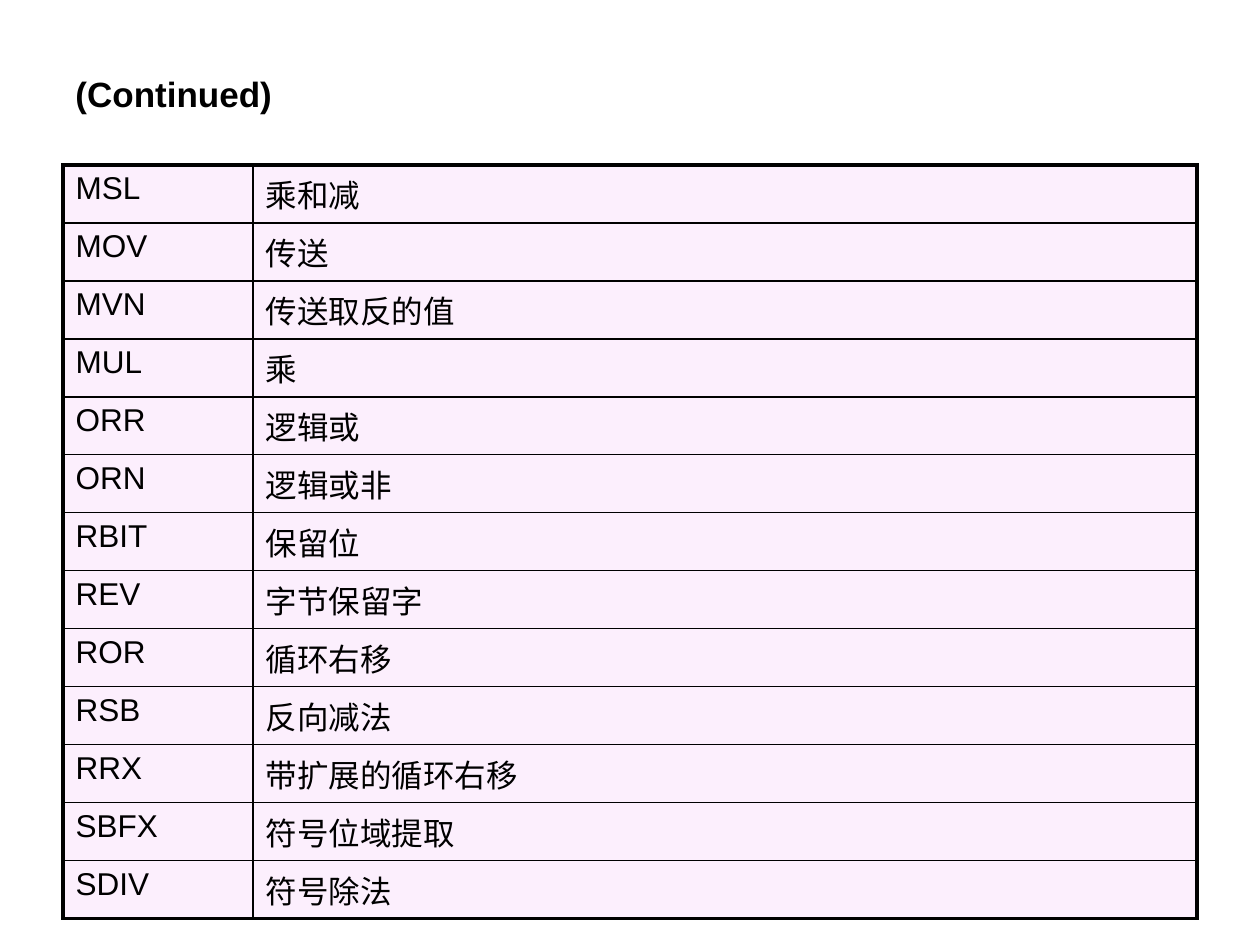
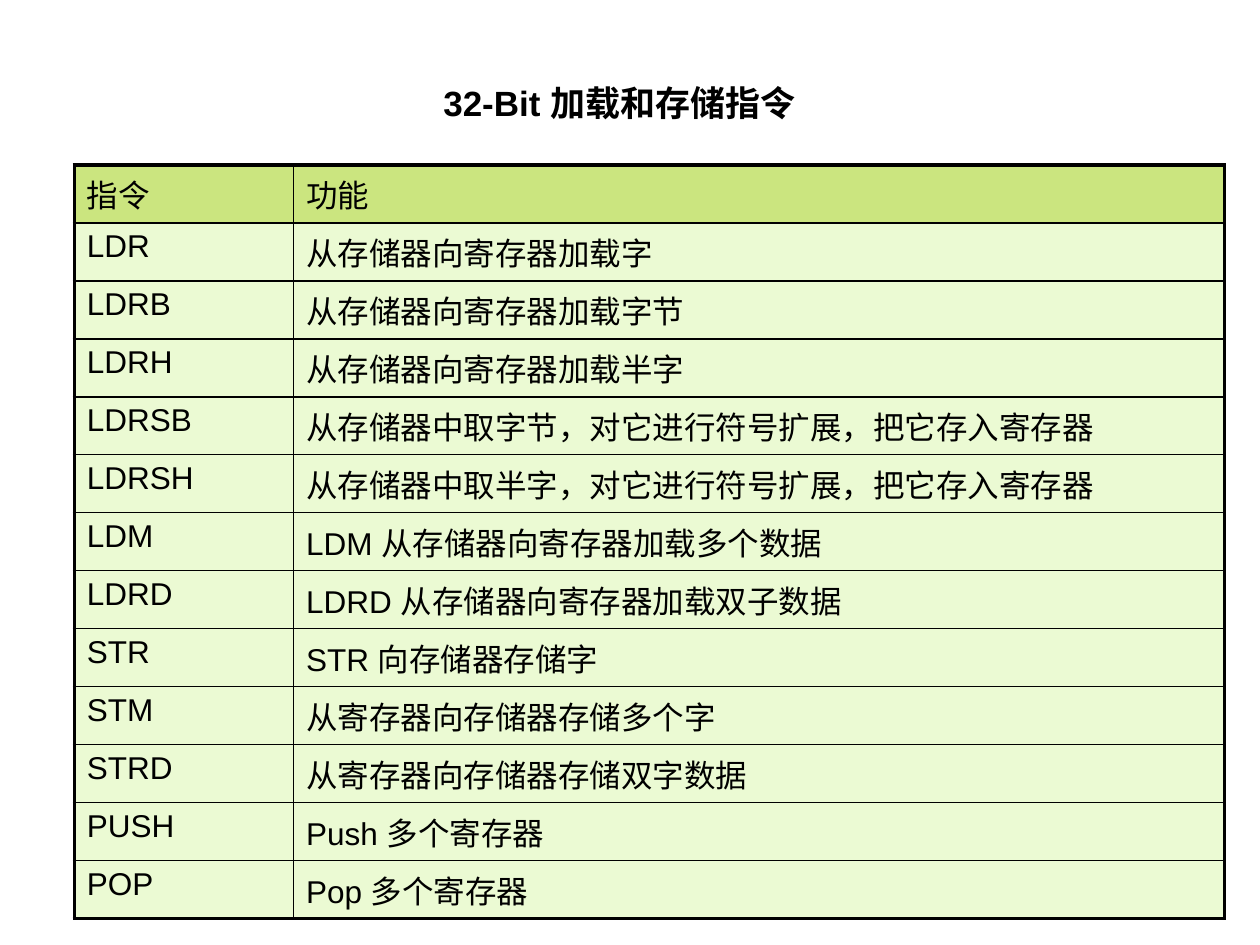
import pptx
import pptx.dml.color
import pptx.enum.lang
import pptx.enum.text
import pptx.oxml.ns
import pptx.util
from lxml import etree
from pptx.util import Inches

FONT = "Arial"
COLORS = {"ink": "000000", "pink": "FBE0FC", "header": "99CC00", "green": "D8F6A8"}
TITLE_SIZE, CELL_SIZE = 20, 18
OUTER_LINE, INNER_LINE = 2.25, 1
TABLE_TOP, ROW_HEIGHT = 1.31, 0.46
FILL_OPACITY = 50

SLIDES = [
    {
        "title": "(Continued)",
        "title_box": (0.5, 0.52, 1.78, 0.44),
        "table_left": 0.5,
        "columns": (1.51, 7.49),
        "body_color": "pink",
        "header": None,
        "instructions": [
            ("MSL", "乘和减"),
            ("MOV", "传送"),
            ("MVN", "传送取反的值"),
            ("MUL", "乘"),
            ("ORR", "逻辑或"),
            ("ORN", "逻辑或非"),
            ("RBIT", "保留位"),
            ("REV", "字节保留字"),
            ("ROR", "循环右移"),
            ("RSB", "反向减法"),
            ("RRX", "带扩展的循环右移"),
            ("SBFX", "符号位域提取"),
            ("SDIV", "符号除法"),
        ],
    },
    {
        "title": "32-Bit 加载和存储指令",
        "title_box": (3.42, 0.6, 4.34, 0.43),
        "table_left": 0.59,
        "columns": (1.74, 7.39),
        "body_color": "green",
        "header": ("指令", "功能"),
        "instructions": [
            ("LDR", "从存储器向寄存器加载字"),
            ("LDRB", "从存储器向寄存器加载字节"),
            ("LDRH", "从存储器向寄存器加载半字"),
            ("LDRSB", "从存储器中取字节，对它进行符号扩展，把它存入寄存器"),
            ("LDRSH", "从存储器中取半字，对它进行符号扩展，把它存入寄存器"),
            ("LDM", "LDM 从存储器向寄存器加载多个数据"),
            ("LDRD", "LDRD 从存储器向寄存器加载双子数据"),
            ("STR", "STR 向存储器存储字"),
            ("STM", "从寄存器向存储器存储多个字"),
            ("STRD", "从寄存器向存储器存储双字数据"),
            ("PUSH", "Push 多个寄存器"),
            ("POP", "Pop 多个寄存器"),
        ],
    },
]


def rgb(color):
    return pptx.dml.color.RGBColor.from_string(COLORS[color])


def add_run(paragraph, text, size, bold=False):
    run = paragraph.add_run()
    run.text = text
    run.font.name = FONT
    run.font.size = pptx.util.Pt(size)
    run.font.bold = bold
    run.font.color.rgb = rgb("ink")
    run.font.language_id = pptx.enum.lang.MSO_LANGUAGE_ID.SIMPLIFIED_CHINESE


def add_title(slide, text, box):
    frame = slide.shapes.add_textbox(*map(Inches, box)).text_frame
    frame.word_wrap = True
    frame.vertical_anchor = pptx.enum.text.MSO_ANCHOR.MIDDLE
    add_run(frame.paragraphs[0], text, TITLE_SIZE, bold=True)


def set_borders(cell, outer_edges):
    """Draw all four edges, heavier where the edge bounds the table."""
    properties = cell._tc.get_or_add_tcPr()
    for edge in "LRTB":
        width = OUTER_LINE if edge in outer_edges else INNER_LINE
        line = etree.SubElement(properties, pptx.oxml.ns.qn(f"a:ln{edge}"),
                                w=str(pptx.util.Pt(width)))
        fill = etree.SubElement(line, pptx.oxml.ns.qn("a:solidFill"))
        etree.SubElement(fill, pptx.oxml.ns.qn("a:srgbClr"), val=COLORS["ink"])


def set_fill(cell, color):
    cell.fill.solid()
    cell.fill.fore_color.rgb = rgb(color)
    for value in cell._tc.tcPr.findall("a:solidFill/a:srgbClr", pptx.oxml.ns._nsmap):
        etree.SubElement(value, pptx.oxml.ns.qn("a:alpha"), val=str(FILL_OPACITY * 1000))


def add_instruction_table(slide, content):
    header, columns = content["header"], content["columns"]
    rows = ([header] if header else []) + content["instructions"]
    table = slide.shapes.add_table(
        len(rows), len(columns), Inches(content["table_left"]), Inches(TABLE_TOP),
        Inches(sum(columns)), Inches(ROW_HEIGHT * len(rows))).table
    table.first_row = table.horz_banding = False
    for column, width in zip(table.columns, columns):
        column.width = Inches(width)
    for r, row in enumerate(rows):
        table.rows[r].height = Inches(ROW_HEIGHT)
        color = "header" if row is header else content["body_color"]
        row_edges = {0: "T", len(rows) - 1: "B"}.get(r, "")
        for c, text in enumerate(row):
            cell = table.cell(r, c)
            add_run(cell.text_frame.paragraphs[0], text, CELL_SIZE)
            set_borders(cell, row_edges + "LR"[c])
            set_fill(cell, color)


def main():
    deck = pptx.Presentation()
    deck.slide_width, deck.slide_height = Inches(10), Inches(7.5)
    for content in SLIDES:
        slide = deck.slides.add_slide(deck.slide_layouts[6])
        add_title(slide, content["title"], content["title_box"])
        add_instruction_table(slide, content)
    deck.save("out.pptx")


if __name__ == "__main__":
    main()
